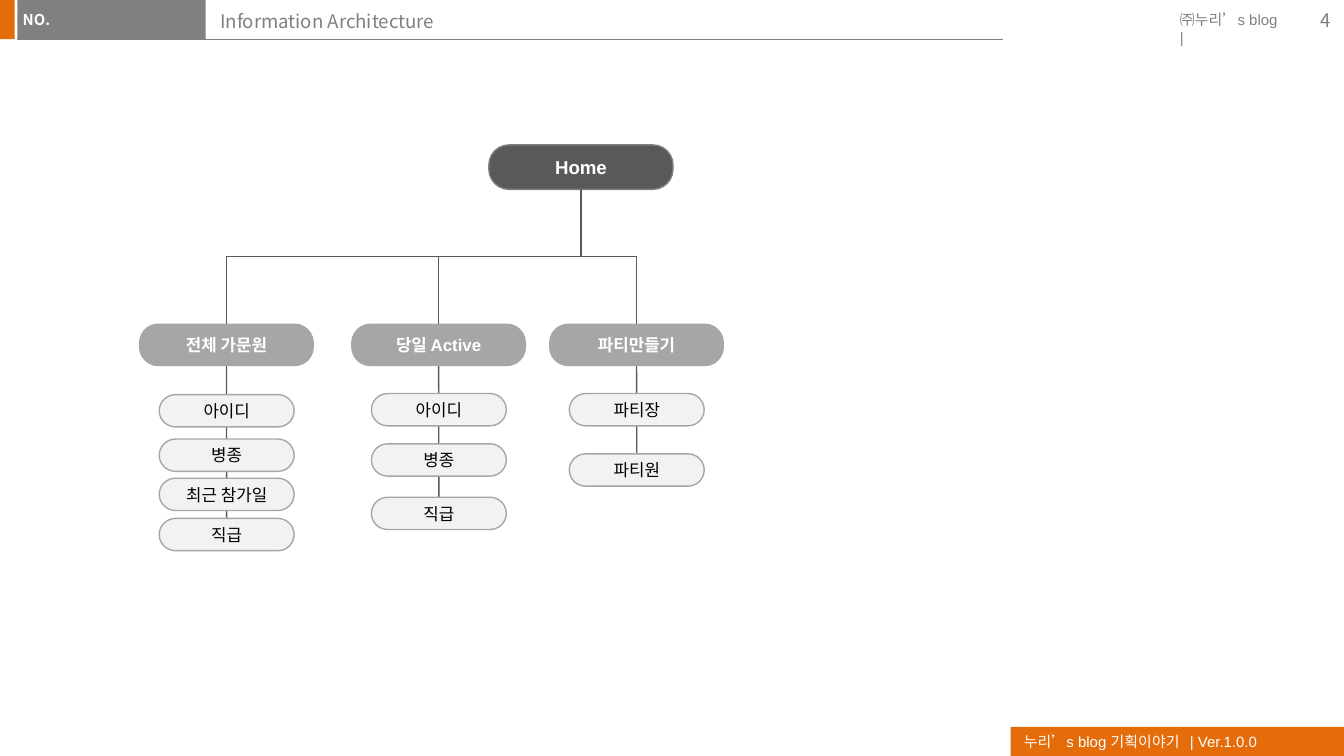
from lxml.etree import SubElement
from pptx import Presentation
from pptx.dml.color import RGBColor
from pptx.enum.shapes import MSO_CONNECTOR, MSO_SHAPE
from pptx.enum.text import MSO_ANCHOR, MSO_AUTO_SIZE, PP_ALIGN
from pptx.oxml.ns import qn
from pptx.util import Cm, Pt

ORANGE = RGBColor(0xE4, 0x6C, 0x0A)
GRAY = RGBColor(0x80, 0x80, 0x80)
DARK = RGBColor(0x59, 0x59, 0x59)
MEDIUM = RGBColor(0xA6, 0xA6, 0xA6)
LIGHT = RGBColor(0xF2, 0xF2, 0xF2)
WHITE = RGBColor(0xFF, 0xFF, 0xFF)
BLACK = RGBColor(0x00, 0x00, 0x00)
SANS = "Noto Sans CJK KR"

presentation = Presentation()
presentation.slide_width, presentation.slide_height = Cm(25.4), Cm(14.29)
slide = presentation.slides.add_slide(presentation.slide_layouts[1])
shapes = slide.shapes


def write(shape, text, size, color, bold=False, font="Arial",
          align=PP_ALIGN.LEFT, anchor=MSO_ANCHOR.TOP, before=0):
    frame = shape.text_frame
    frame.text = text
    frame.vertical_anchor = anchor
    paragraph = frame.paragraphs[0]
    paragraph.alignment = align
    paragraph.space_before = Pt(before)
    paragraph.font.name = font
    paragraph.font.size = Pt(size)
    paragraph.font.bold = bold
    paragraph.font.color.rgb = color
    return frame


def add_pill(text, left, top, width, height, fill, line, size, color, bold):
    pill = shapes.add_shape(MSO_SHAPE.ROUNDED_RECTANGLE,
                            Cm(left), Cm(top), Cm(width), Cm(height))
    pill.adjustments[0] = 0.5 if fill == LIGHT else 0.45
    pill.shadow.inherit = False
    pill.fill.solid()
    pill.fill.fore_color.rgb = fill
    pill.line.color.rgb = line
    pill.line.width = Pt(0.75)
    frame = write(pill, text, size, color, bold, align=PP_ALIGN.CENTER,
                  anchor=MSO_ANCHOR.MIDDLE, before=1)
    frame.margin_left = frame.margin_right = Cm(0.05)
    frame.margin_top = frame.margin_bottom = Cm(0.05)
    return pill


# Header and footer bars
for left, top, width, height, fill, text in (
    (-0.03, 0, 0.31, 0.74, ORANGE, ""),
    (0.33, 0, 3.56, 0.74, GRAY, ""),
    (19.1, 13.74, 6.3, 0.55, ORANGE, "누리’s blog 기획이야기   | Ver.1.0.0"),
):
    bar = shapes.add_shape(MSO_SHAPE.RECTANGLE,
                           Cm(left), Cm(top), Cm(width), Cm(height))
    bar.shadow.inherit = False
    bar.fill.solid()
    bar.fill.fore_color.rgb = fill
    bar.line.fill.background()
    if text:
        write(bar, text, 8, WHITE, anchor=MSO_ANCHOR.MIDDLE)

header_rule = shapes.add_connector(MSO_CONNECTOR.STRAIGHT,
                                   Cm(0.33), Cm(0.74), Cm(18.95), Cm(0.74))
header_rule.line.color.rgb = GRAY
header_rule.line.width = Pt(0.5)
connectors = [header_rule]

# Header labels
for text, left, width, color, bold, font in (
    ("NO.", 0.18, 1.04, WHITE, True, SANS),
    ("㈜누리’s blog |", 22.05, 2.4, GRAY, False, "Arial"),
):
    label = shapes.add_textbox(Cm(left), Cm(0.08), Cm(width), Cm(0.6))
    frame = write(label, text, 8, color, bold, font)
    frame.word_wrap = False
    frame.auto_size = MSO_AUTO_SIZE.SHAPE_TO_FIT_TEXT

page_number = shapes.add_textbox(Cm(23.88), Cm(0), Cm(1.52), Cm(0.76))
write(page_number, "4", 10, GRAY, font=SANS, align=PP_ALIGN.RIGHT,
      anchor=MSO_ANCHOR.MIDDLE).word_wrap = True

# Title and section number
title = shapes.title
title.left, title.top, title.width, title.height = Cm(3.91), Cm(0.05), Cm(15.01), Cm(0.81)
write(title, "Information Architecture", 10, GRAY, font=SANS)

section = slide.placeholders[1]
section.left, section.top, section.width, section.height = Cm(1.09), Cm(0.03), Cm(2.79), Cm(0.79)
frame = write(section, "1.0", 10, WHITE, True, before=2)
frame.margin_left = frame.margin_right = 0
properties = frame.paragraphs[0]._p.get_or_add_pPr()
properties.set("marL", "0")
properties.set("indent", "0")
no_bullet = SubElement(properties, qn("a:buNone"))
properties.find(qn("a:defRPr")).addprevious(no_bullet)

# Site map: each branch has its left edge, leaves with tops, and trunk end site
home = add_pill("Home", 9.24, 2.74, 3.48, 0.84, DARK, GRAY, 10, WHITE, True)
branches = (
    ("전체 가문원", 2.64, 2, (("아이디", 7.46), ("병종", 8.3),
                         ("최근 참가일", 9.04), ("직급", 9.8))),
    ("당일 Active", 6.65, 0, (("아이디", 7.44), ("병종", 8.39), ("직급", 9.4))),
    ("파티만들기", 10.39, 0, (("파티장", 7.44), ("파티원", 8.58))),
)
for name, left, end_site, leaves in branches:
    branch = add_pill(name, left, 6.13, 3.28, 0.78, MEDIUM, MEDIUM, 9, WHITE, True)
    for text, top in leaves:
        leaf = add_pill(text, left + 0.37, top, 2.55, 0.61, LIGHT, MEDIUM, 9, BLACK, False)

    # Trunk behind the leaves, down to the last one
    trunk = shapes.add_connector(MSO_CONNECTOR.STRAIGHT, 0, 0, 0, 0)
    trunk.begin_connect(branch, 2)
    trunk.end_connect(leaf, end_site)
    branch._element.addprevious(trunk._element)

    # Elbow from Home, turned so that it leaves downwards
    elbow = shapes.add_connector(MSO_CONNECTOR.ELBOW, 0, 0, 0, 0)
    elbow.begin_connect(home, 2)
    elbow.end_connect(branch, 0)
    start_x, start_y = home.left + home.width // 2, home.top + home.height
    end_x, end_y = branch.left + branch.width // 2, branch.top
    drop, reach = end_y - start_y, abs(end_x - start_x)
    elbow.left = (start_x + end_x - drop) // 2
    elbow.top = (start_y + end_y - reach) // 2
    elbow.width, elbow.height = drop, reach
    transform = elbow._element.spPr.find(qn("a:xfrm"))
    rightward = end_x > start_x
    transform.set("rot", "16200000" if rightward else "5400000")
    transform.set("flipH", "1" if rightward else "0")
    transform.set("flipV", "0")

    for connector in (trunk, elbow):
        connector.line.color.rgb = DARK
        connector.line.width = Pt(0.75)
        connectors.append(connector)

# Connectors without the theme shadow
for connector in connectors:
    SubElement(connector._element.spPr, qn("a:effectLst"))

presentation.save("out.pptx")
